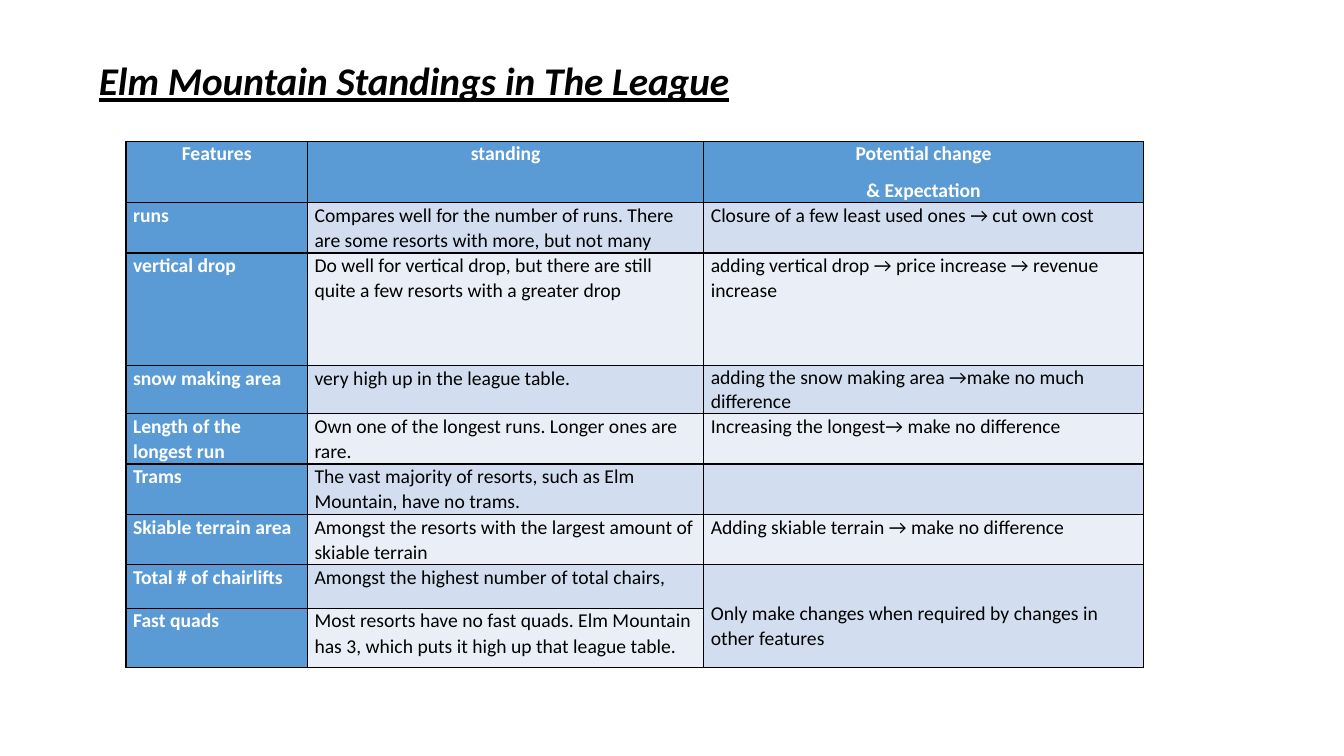
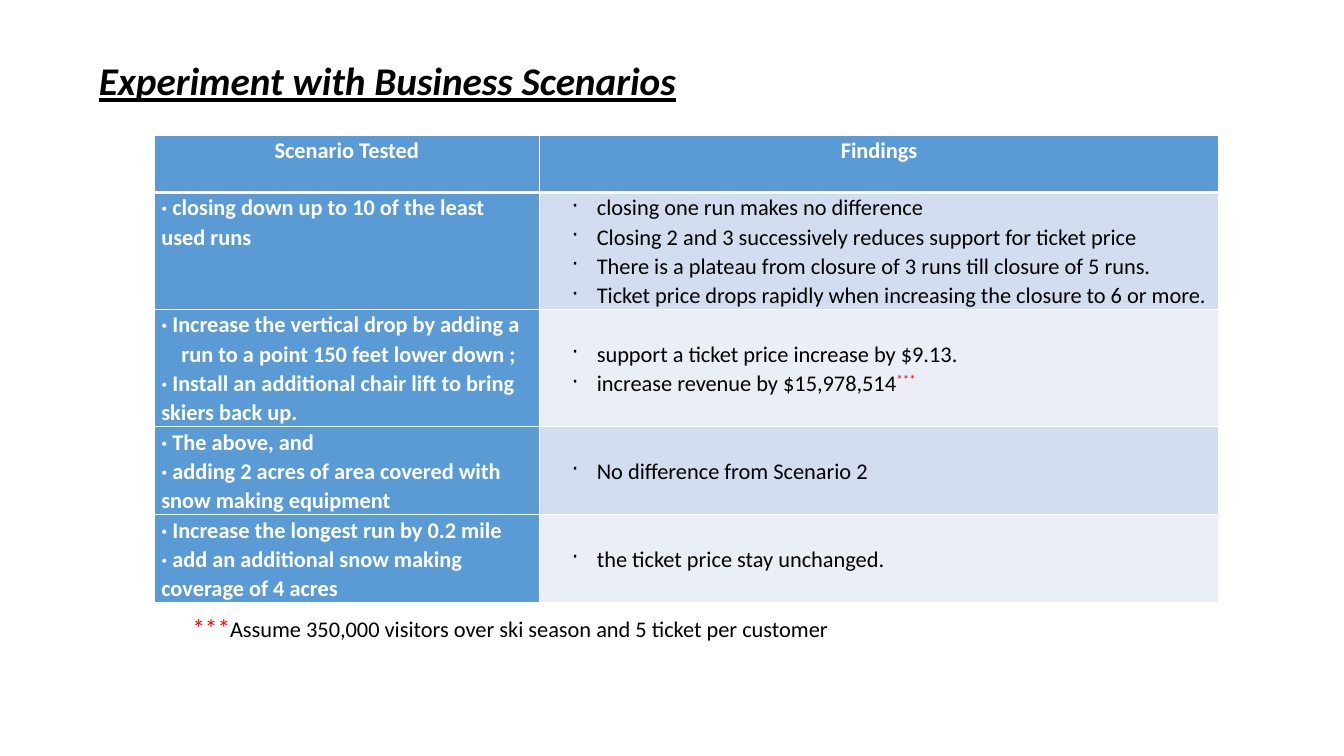
"""Build two slides on ski resort standings and the business scenarios tested."""
from lxml.etree import SubElement
from pptx import Presentation
from pptx.dml.color import RGBColor
from pptx.enum.text import MSO_ANCHOR, PP_ALIGN
from pptx.oxml.ns import qn
from pptx.util import Inches, Pt

BLACK = RGBColor(0x00, 0x00, 0x00)
WHITE = RGBColor(0xFF, 0xFF, 0xFF)
RED = RGBColor(0xFF, 0x00, 0x00)
BLUE = RGBColor(0x5B, 0x9B, 0xD5)
BANDS = [RGBColor(0xEA, 0xEF, 0xF7), RGBColor(0xD2, 0xDE, 0xEF)]
FONT = "Calibri"
TITLE_FORMAT = {"name": FONT, "size": Pt(28), "bold": True, "italic": True, "underline": True}
CELL_MARGINS = {"margin_left": Inches(0.07), "margin_right": Inches(0.07),
                "margin_top": 0, "margin_bottom": 0}

deck = Presentation()
deck.slide_width, deck.slide_height = Inches(13.33), Inches(7.5)


def add_titled_slide(heading):
    slide = deck.slides.add_slide(deck.slide_layouts[5])
    title = slide.shapes.title
    title.left, title.top = Inches(0.88), Inches(0.48)
    title.width, title.height = Inches(11.5), Inches(0.69)
    title.text_frame.text = heading
    title.text_frame.vertical_anchor = MSO_ANCHOR.MIDDLE
    line = title.text_frame.paragraphs[0]
    line.alignment, line.line_spacing = PP_ALIGN.LEFT, 0.9
    for key, value in TITLE_FORMAT.items():
        setattr(line.font, key, value)
    line.font.color.rgb = BLACK
    return slide


def add_grid(slide, left, top, widths, heights, rows, size, spacing, after, edge, header_edge):
    grid = slide.shapes.add_table(len(rows), len(widths), Inches(left), Inches(top),
                                  Inches(sum(widths)), Inches(sum(heights))).table
    for column, width in zip(grid.columns, widths):
        column.width = Inches(width)
    for r, (height, texts) in enumerate(zip(heights, rows)):
        grid.rows[r].height = Inches(height)
        for c, text in enumerate(texts):
            cell = grid.cell(r, c)
            cell.text = text
            for key, value in CELL_MARGINS.items():
                setattr(cell, key, value)
            borders = {"a:lnL": 1, "a:lnR": 1, "a:lnT": header_edge if r == 1 else 1,
                       "a:lnB": header_edge if r == 0 else 1}
            for tag, points in borders.items():
                border = SubElement(cell._tc.get_or_add_tcPr(), qn(tag), w=str(Pt(points)))
                SubElement(SubElement(border, qn("a:solidFill")), qn("a:srgbClr"), val=str(edge))
            heading = r == 0 or c == 0
            cell.fill.solid()
            cell.fill.fore_color.rgb = BLUE if heading else BANDS[r % 2]
            for line in cell.text_frame.paragraphs:
                line.alignment = PP_ALIGN.CENTER if r == 0 else PP_ALIGN.LEFT
                line.line_spacing = spacing
                line.space_after = Pt(8 if r == 0 else after)
                line.font.name, line.font.size, line.font.bold = FONT, Pt(size), heading
                line.font.color.rgb = WHITE if heading else BLACK
    return grid


standings_rows = [
    ("Features", "standing", "Potential change\n& Expectation"),
    ("runs",
     "Compares well for the number of runs. There are some resorts with more, but not many",
     "Closure of a few least used ones → cut own cost"),
    ("vertical drop",
     "Do well for vertical drop, but there are still quite a few resorts with a greater drop",
     "adding vertical drop → price increase → revenue increase"),
    ("snow making area", "very high up in the league table.",
     "adding the snow making area →make no much difference"),
    ("Length of the longest run", "Own one of the longest runs. Longer ones are rare.",
     "Increasing the longest→ make no difference"),
    ("Trams", "The vast majority of resorts, such as Elm Mountain, have no trams.", ""),
    ("Skiable terrain area", "Amongst the resorts with the largest amount of skiable terrain",
     "Adding skiable terrain → make no difference"),
    ("Total # of chairlifts", "Amongst the highest number of total chairs,",
     "Only make changes when required by changes in other features"),
    ("Fast quads",
     "Most resorts have no fast quads. Elm Mountain has 3, which puts it high up that league table.",
     ""),
]
league = add_titled_slide("Elm Mountain Standings in The League")
standings = add_grid(league, 1.25, 1.4, [1.8, 3.93, 4.36],
                     [0.61, 0.5, 1.12, 0.47, 0.5, 0.5, 0.5, 0.43, 0.59],
                     standings_rows, 14, 1.05, 8, BLACK, 1)
standings.cell(3, 2).text_frame.paragraphs[0].line_spacing = 1.0
chair_change = standings.cell(7, 2)
chair_change.merge(standings.cell(8, 2))
chair_change.margin_top = Inches(0.36)

scenario_rows = [
    ("Scenario Tested", "Findings"),
    ("· closing down up to 10 of the least used runs",
     "closing one run makes no difference\n"
     "Closing 2 and 3 successively reduces support for ticket price\n"
     "There is a plateau from closure of 3 runs till closure of 5 runs.\n"
     "Ticket price drops rapidly when increasing the closure to 6 or more."),
    ("· Increase the vertical drop by adding a run to a point 150 feet lower down ;\n"
     "· Install an additional chair lift to bring skiers back up.",
     "support a ticket price increase by $9.13.\nincrease revenue by $15,978,514"),
    ("· The above, and\n· adding 2 acres of area covered with snow making equipment",
     "No difference from Scenario 2"),
    ("· Increase the longest run by 0.2 mile\n· add an additional snow making coverage of 4 acres",
     "the ticket price stay unchanged."),
]
experiment = add_titled_slide("Experiment with Business Scenarios")
scenarios = add_grid(experiment, 1.53, 1.34, [3.82, 6.74], [0.57, 1.16, 1.16, 0.87, 0.87],
                     scenario_rows, 16, 1.07, 0, WHITE, 3)
for r in range(1, len(scenario_rows)):
    findings = scenarios.cell(r, 1)
    findings.margin_top = Inches(0 if r == 1 else 0.29)
    for finding in findings.text_frame.paragraphs:
        layout = finding._p.get_or_add_pPr()
        layout.set("marL", str(Inches(0.5)))
        layout.set("indent", str(Inches(-0.25)))
        bullet = layout.makeelement(qn("a:buChar"), {"char": "·"})
        layout.insert_element_before(bullet, "a:tabLst", "a:defRPr", "a:extLst")
vertical_drop = scenarios.cell(2, 0).text_frame.paragraphs[0]._p.get_or_add_pPr()
vertical_drop.set("marL", str(Inches(0.2)))
vertical_drop.set("indent", str(Inches(-0.2)))

revenue_mark = scenarios.cell(2, 1).text_frame.paragraphs[1].add_run()
revenue_mark.text = "***"
revenue_mark.font.color.rgb = RED
revenue_mark.font._element.set("baseline", "30000")

footnote = experiment.shapes.add_textbox(Inches(1.81), Inches(6.03), Inches(7.89), Inches(0.4))
footnote.text_frame.word_wrap = True
for text, size, color in [
    ("***", 18, RED),
    ("Assume 350,000 visitors over ski season and 5 ticket per customer", 16, BLACK),
]:
    note = footnote.text_frame.paragraphs[0].add_run()
    note.text = text
    note.font.name, note.font.size, note.font.color.rgb = FONT, Pt(size), color

deck.save("out.pptx")
